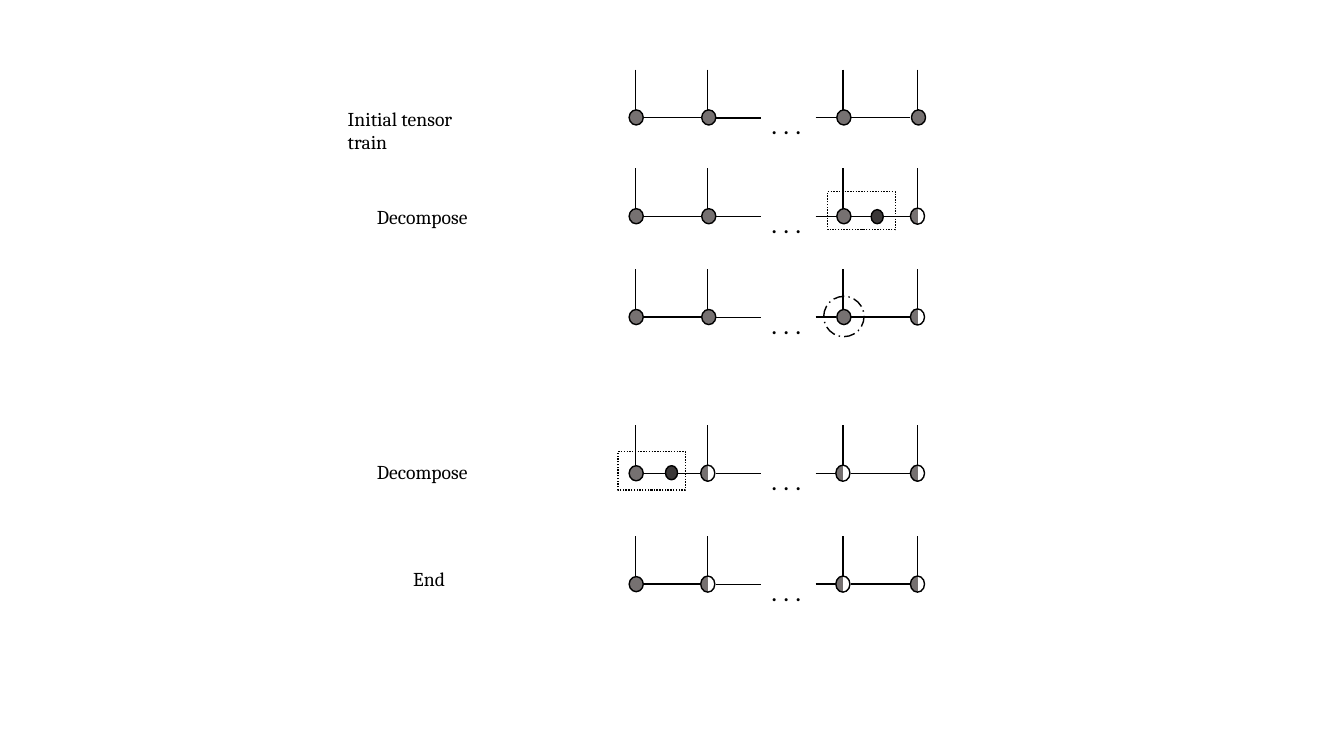
from dataclasses import dataclass

from lxml.etree import SubElement
from pptx import Presentation
from pptx.dml.color import RGBColor
from pptx.enum.dml import MSO_LINE
from pptx.enum.shapes import MSO_CONNECTOR, MSO_SHAPE
from pptx.enum.text import MSO_AUTO_SIZE
from pptx.oxml.ns import qn
from pptx.util import Inches, Pt


@dataclass(frozen=True)
class Theme:
    ink: str = "000000"
    tensor: str = "767171"
    factor: str = "3B3838"
    blank: str = "FFFFFF"
    label_font: str = "Cambria"
    label_size: float = 14
    dots_font: str = "Calibri"
    dots_size: float = 18
    stroke: float = 1


def write(tf, text, *, font, size, color):
    """Put formatted text in the first paragraph of a text frame."""
    r = tf.paragraphs[0].add_run()
    r.text = text
    r.font.name = font
    r.font.size = Pt(size)
    r.font.color.rgb = RGBColor.from_string(color)


class Diagram:
    """Draws on one slide; lengths are columns and rows of a square grid."""

    ROWS = 75

    def __init__(self, prs, theme):
        self.theme = theme
        self.s = prs.slides.add_slide(prs.slide_layouts[6])
        self.cell = prs.slide_height / self.ROWS

    def grid(self, *lengths):
        return [round(n * self.cell) for n in lengths]

    def stroke(self, line, dash=None):
        line.color.rgb = RGBColor.from_string(self.theme.ink)
        line.width = Pt(self.theme.stroke)
        if dash is not None:
            line.dash_style = dash

    def text(self, x, y, w, h, text, font, size):
        tf = self.s.shapes.add_textbox(*self.grid(x, y, w, h)).text_frame
        tf.word_wrap = True
        tf.auto_size = MSO_AUTO_SIZE.SHAPE_TO_FIT_TEXT
        write(tf, text, font=font, size=size, color=self.theme.ink)

    def label(self, x, y, w, text):
        self.text(x, y, w, 3.4, text, self.theme.label_font, self.theme.label_size)

    def dots(self, x, y):
        self.text(x, y, 5.6, 4, ". . .", self.theme.dots_font, self.theme.dots_size)

    def line(self, x1, y1, x2, y2):
        c = self.s.shapes.add_connector(MSO_CONNECTOR.STRAIGHT, *self.grid(x1, y1, x2, y2))
        self.stroke(c.line)
        SubElement(c._element.spPr, qn("a:effectLst"))

    def shape(self, kind, x, y, w, h, fill=None, dash=None):
        sp = self.s.shapes.add_shape(kind, *self.grid(x, y, w, h))
        sp.shadow.inherit = False
        self.stroke(sp.line, dash)
        if fill:
            sp.fill.solid()
            sp.fill.fore_color.rgb = RGBColor.from_string(fill)
        else:
            sp.fill.background()
        return sp

    def tensor(self, leg, y):
        self.shape(MSO_SHAPE.OVAL, leg - 0.6, y, 1.4, 1.5, self.theme.tensor)

    def half_tensor(self, leg, y):
        sp = self.shape(MSO_SHAPE.OVAL, leg - 0.7, y - 0.05, 1.4, 1.6)
        sp.fill.gradient()
        sp.fill.gradient_angle = 0
        halves = ((0.5, self.theme.tensor), (0.51, self.theme.blank))
        for stop, (position, color) in zip(sp.fill.gradient_stops, halves):
            stop.position = position
            stop.color.rgb = RGBColor.from_string(color)

    def factor(self, x, y):
        self.shape(MSO_SHAPE.OVAL, x, y, 1.2, 1.4, self.theme.factor)

    def dotted_box(self, x, y):
        self.shape(MSO_SHAPE.RECTANGLE, x, y, 6.7, 3.8, dash=MSO_LINE.ROUND_DOT)

    def dashed_ring(self, x, y):
        self.shape(MSO_SHAPE.OVAL, x, y, 4, 4, dash=MSO_LINE.LONG_DASH_DOT)

    def train(self, y, halves):
        """Four tensors whose last `halves` are half filled."""
        for x1, x2, drop in BONDS:
            self.line(x1, y + drop, x2, y + drop)
        self.dots(75.5, y - 0.5)
        for i, leg in enumerate(LEGS):
            self.line(leg, y - 4, leg, y)
            node = self.half_tensor if i >= len(LEGS) - halves else self.tensor
            node(leg, y)


LEGS = (63, 70.2, 83.6, 91)
BONDS = ((63.7, 69.7, 0.75), (71, 75.5, 0.8), (80.9, 82.9, 0.75), (84.4, 90.3, 0.75))
# Top of the tensors in each train, and number of half-filled ones
TRAINS = ((10.9, 0), (20.7, 1), (30.7, 1), (46.2, 3), (57.2, 3))
LABELS = (
    (33.5, 10.1, 16.1, "Initial tensor train"),
    (36.4, 19.8, 11.3, "Decompose"),
    (36.4, 45.1, 11.3, "Decompose"),
    (40, 55.8, 5.2, "End"),
)


def main():
    prs = Presentation()
    prs.slide_width, prs.slide_height = Inches(13.33), Inches(7.5)
    d = Diagram(prs, Theme())

    # Step names
    for label in LABELS:
        d.label(*label)

    # Tensor trains
    for y, halves in TRAINS:
        d.train(y, halves)

    # Split-off factors and their frames
    d.factor(86.4, 20.8)
    d.dotted_box(82.1, 19)
    d.factor(66, 46.2)
    d.dotted_box(61.3, 44.8)

    # Merged tensor
    d.dashed_ring(81.7, 29.4)

    prs.save("out.pptx")


if __name__ == "__main__":
    main()
